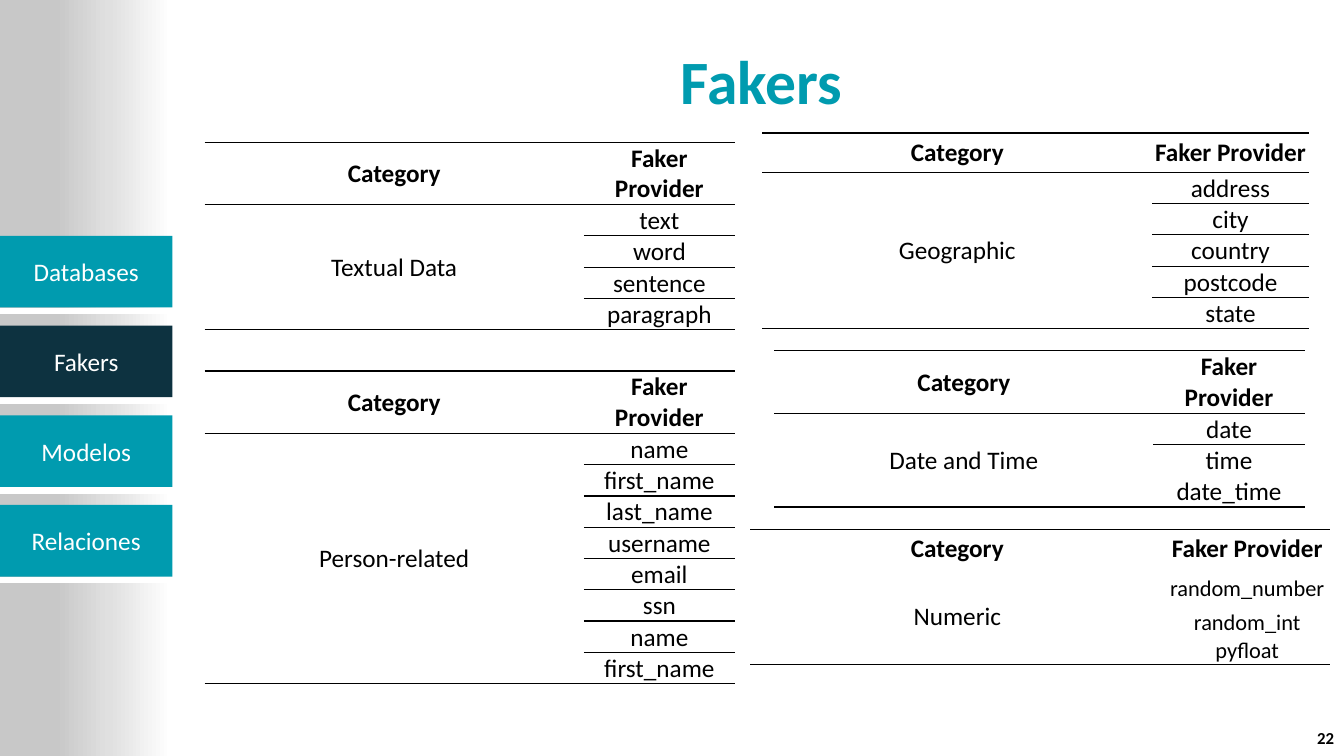
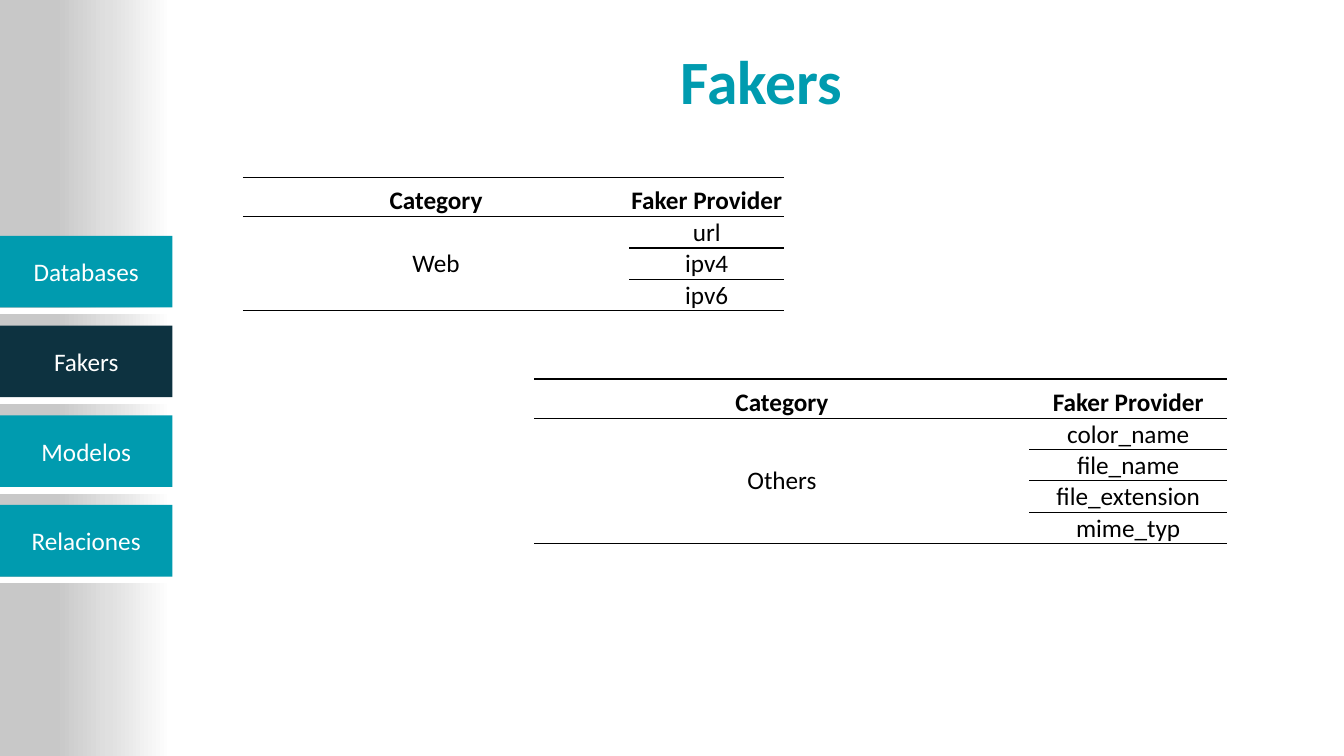
"""Build two slides that list the Faker providers by category."""
import copy
from dataclasses import dataclass

from lxml import etree
from pptx import Presentation
from pptx import util as u
from pptx.dml import color
from pptx.enum import shapes, text
from pptx.oxml import ns


@dataclass(frozen=True)
class Theme:
    """Colours, type sizes and the font of the deck."""
    font: str = "Calibri"
    teal: str = "009BAF"
    navy: str = "0D3240"
    white: str = "FFFFFF"
    black: str = "000000"
    band_stops: tuple = ((0, "FFFFFF"), (0.36, "E0E0E0"), (0.67, "C8C8C8"))
    title_size: int = 44
    body_size: int = 18
    small_size: int = 16
    number_size: int = 12
    rule_width: float = 1
    separator_width: float = 1.25


@dataclass(frozen=True)
class ProviderTable:
    """Content and layout of one table of providers."""
    category: str
    providers: tuple
    left: float
    top: float
    columns: tuple
    header_height: float = 0.39
    row_heights: tuple = ()
    inner_rules: int = 99
    provider_size: int = Theme.body_size
    header_anchor: text.MSO_ANCHOR = text.MSO_ANCHOR.MIDDLE


THEME = Theme()
SECTIONS = ("Databases", "Fakers", "Modelos", "Relaciones")
CURRENT_SECTION = "Fakers"
NAV_WIDTH, NAV_TOP, NAV_HEIGHT, NAV_PITCH = 1.71, 2.34, 0.71, 0.89
ROW_HEIGHT = 0.31
TALL_HEADER = 0.62

FIRST_TABLES = (
    ProviderTable("Textual Data", ("text", "word", "sentence", "paragraph"),
                  2.03, 1.41, (3.76, 1.5), TALL_HEADER),
    ProviderTable("Person-related",
                  ("name", "first_name", "last_name", "username",
                   "email", "ssn", "name", "first_name"),
                  2.03, 3.68, (3.76, 1.5), TALL_HEADER),
    ProviderTable("Geographic",
                  ("address", "city", "country", "postcode", "state"),
                  7.56, 1.32, (3.87, 1.55)),
    ProviderTable("Date and Time", ("date", "time", "date_time"),
                  7.68, 3.48, (3.76, 1.5), TALL_HEADER, inner_rules=2),
    ProviderTable("Numeric", ("random_number", "random_int", "pyfloat"),
                  7.44, 5.25, (4.11, 1.64), row_heights=(0.39, 0.28, 0.28),
                  inner_rules=0, provider_size=THEME.small_size),
)
SECOND_TABLES = (
    ProviderTable("Web", ("url", "ipv4", "ipv6"), 2.41, 1.76, (3.83, 1.54),
                  header_anchor=text.MSO_ANCHOR.BOTTOM),
    ProviderTable("Others",
                  ("color_name", "file_name", "file_extension", "mime_typ"),
                  5.3, 3.76, (4.91, 1.96),
                  header_anchor=text.MSO_ANCHOR.BOTTOM),
)


def rgb(value):
    """Turn a hex string into a colour."""
    return color.RGBColor.from_string(value)


def write(text_frame, content, size, ink, bold=False,
          align=text.PP_ALIGN.CENTER):
    """Write one formatted paragraph into a text frame."""
    text_frame.text = content
    paragraph = text_frame.paragraphs[0]
    paragraph.alignment = align
    font = paragraph.runs[0].font
    font.name, font.size, font.bold = THEME.font, u.Pt(size), bold
    font.color.rgb = rgb(ink)


def add_text(slide, box, content, size, ink, align=text.PP_ALIGN.CENTER):
    """Add a bold, vertically centred text box."""
    text_frame = slide.shapes.add_textbox(*map(u.Inches, box)).text_frame
    text_frame.word_wrap = True
    text_frame.vertical_anchor = text.MSO_ANCHOR.MIDDLE
    write(text_frame, content, size, ink, True, align)


def add_rectangle(slide, box, fill):
    """Add a plain rectangle without outline or shadow."""
    shape = slide.shapes.add_shape(shapes.MSO_SHAPE.RECTANGLE,
                                   *map(u.Inches, box))
    shape.shadow.inherit = False
    shape.fill.solid()
    shape.fill.fore_color.rgb = rgb(fill)
    shape.line.fill.background()
    return shape


def add_side_band(slide):
    """Add the grey gradient band on the left edge."""
    band = add_rectangle(slide, (-0.01, 0, NAV_WIDTH, 7.5), THEME.white)
    band.fill.gradient()
    band.fill.gradient_angle = 180
    stop_list = band.element.spPr.find(".//" + ns.qn("a:gsLst"))
    stop_list.append(copy.deepcopy(stop_list[-1]))
    for stop, (position, ink) in zip(band.fill.gradient_stops,
                                     THEME.band_stops):
        stop.position = position
        stop.color.rgb = rgb(ink)


def add_navigation(slide):
    """Add the section buttons, each with a white separator below."""
    for index, section in enumerate(SECTIONS):
        top = NAV_TOP + index * NAV_PITCH
        separator = add_rectangle(
            slide, (0, top + NAV_HEIGHT + 0.01, NAV_WIDTH, 0.05), THEME.white)
        separator.line.color.rgb = rgb(THEME.white)
        separator.line.width = u.Pt(THEME.separator_width)
        fill = THEME.navy if section == CURRENT_SECTION else THEME.teal
        button = add_rectangle(slide, (0, top, NAV_WIDTH, NAV_HEIGHT), fill)
        button.text_frame.vertical_anchor = text.MSO_ANCHOR.MIDDLE
        write(button.text_frame, section, THEME.body_size, THEME.white)


def set_borders(cell, ruled_sides):
    """Draw black rules on the given sides and clear the others."""
    properties = cell._tc.get_or_add_tcPr()
    for index, side in enumerate("LRTB"):
        line = etree.Element(ns.qn(f"a:ln{side}"))
        if side in ruled_sides:
            line.set("w", str(u.Pt(THEME.rule_width)))
            fill = etree.SubElement(line, ns.qn("a:solidFill"))
            etree.SubElement(fill, ns.qn("a:srgbClr"), val=THEME.black)
        else:
            etree.SubElement(line, ns.qn("a:noFill"))
        properties.insert(index, line)


def format_cell(cell, ruled_sides):
    """Give a cell its insets, anchor, clear fill and borders."""
    cell.margin_left = cell.margin_right = cell.margin_top = u.Inches(0.01)
    cell.margin_bottom = 0
    cell.vertical_anchor = text.MSO_ANCHOR.MIDDLE
    cell.fill.background()
    set_borders(cell, ruled_sides)


def add_provider_table(slide, content):
    """Add a table with one category and its list of providers."""
    count = len(content.providers)
    body_heights = content.row_heights or (ROW_HEIGHT,) * count
    heights = (content.header_height, *body_heights)
    box = (content.left, content.top, sum(content.columns), sum(heights))
    table = slide.shapes.add_table(count + 1, 2,
                                   *map(u.Inches, box)).table
    table.first_row = table.horz_banding = False
    for column, width in zip(table.columns, content.columns):
        column.width = u.Inches(width)
    for row, height in zip(table.rows, heights):
        row.height = u.Inches(height)

    rules = {0, count + 1} | set(range(1, min(content.inner_rules, count) + 1))
    for row in range(count + 1):
        top, bottom = row in rules, row + 1 in rules
        provider_sides = "T" * top + "B" * bottom
        if row == 0:
            category_sides = provider_sides
        else:
            category_sides = "T" * (row == 1 and top) + "B" * (
                row in (1, count))
        format_cell(table.cell(row, 0), category_sides)
        format_cell(table.cell(row, 1), provider_sides)
    table.cell(1, 0).merge(table.cell(count, 0))

    for column, heading in enumerate(("Category", "Faker Provider")):
        cell = table.cell(0, column)
        cell.vertical_anchor = content.header_anchor
        write(cell.text_frame, heading, THEME.body_size, THEME.black, True)
    write(table.cell(1, 0).text_frame, content.category, THEME.body_size,
          THEME.black)
    for row, provider in enumerate(content.providers, 1):
        write(table.cell(row, 1).text_frame, provider, content.provider_size,
              THEME.black)


def add_fakers_slide(presentation, tables):
    """Add a slide with the shared frame and the given tables."""
    slide = presentation.slides.add_slide(presentation.slide_layouts[6])
    add_side_band(slide)
    add_navigation(slide)
    add_text(slide, (2.27, 0.24, 10.57, 1.11), "Fakers", THEME.title_size,
             THEME.teal)
    for content in tables:
        add_provider_table(slide, content)
    return slide


def main():
    """Build and save the presentation."""
    presentation = Presentation()
    presentation.slide_width = u.Inches(13.33)
    presentation.slide_height = u.Inches(7.5)
    first_slide = add_fakers_slide(presentation, FIRST_TABLES)
    add_text(first_slide, (12.81, 7.15, 0.52, 0.34), "22", THEME.number_size,
             THEME.black, text.PP_ALIGN.RIGHT)
    add_fakers_slide(presentation, SECOND_TABLES)
    presentation.save("out.pptx")


if __name__ == "__main__":
    main()
